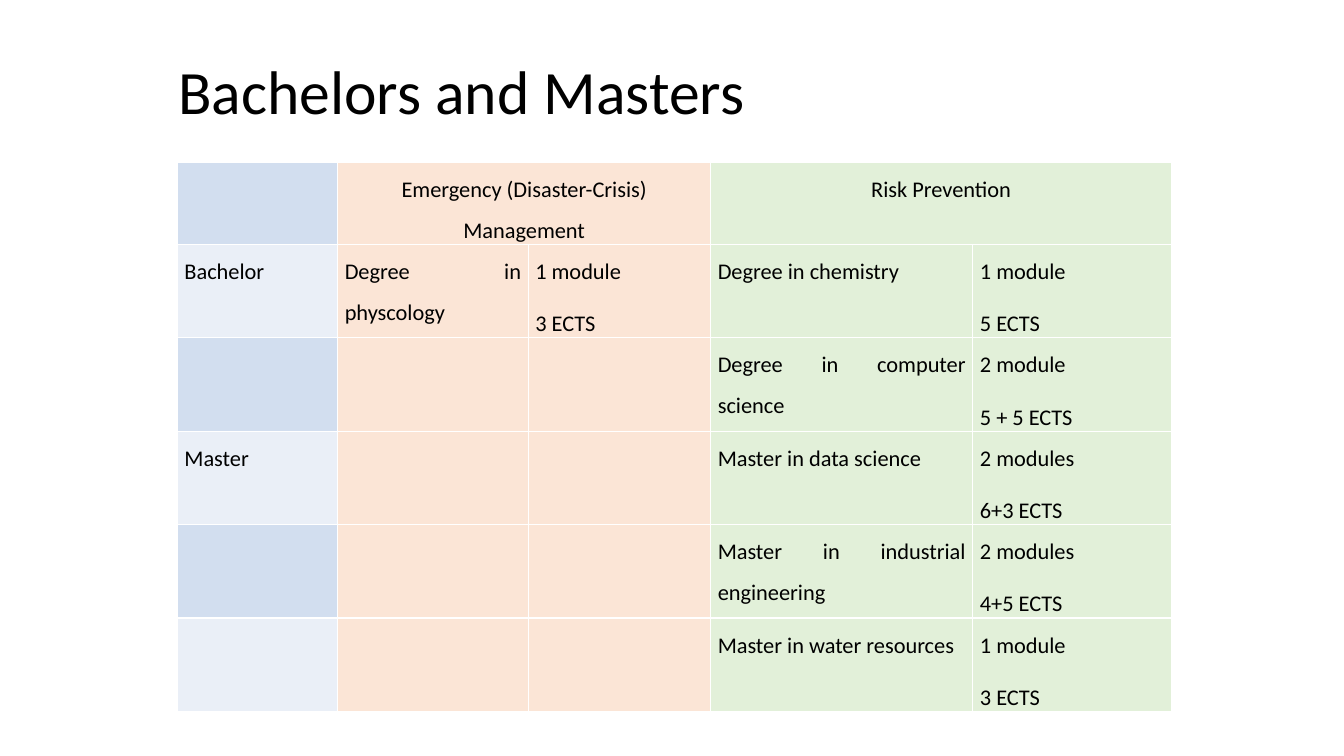
from pptx import Presentation
from pptx.dml.color import RGBColor
from pptx.enum.text import MSO_ANCHOR, PP_ALIGN
from pptx.oxml import parse_xml
from pptx.oxml.ns import nsdecls
from pptx.util import Inches, Pt

# Content
TITLE = "Bachelors and Masters"
HEADERS = {1: "Emergency (Disaster-Crisis) Management", 3: "Risk Prevention"}
# Level, emergency degree, its credits, risk degree, its credits
PROGRAMMES = [
    ("Bachelor", "Degree in physcology", "1 module\n3 ECTS",
     "Degree in chemistry", "1 module\n5 ECTS"),
    ("", "", "", "Degree in computer science", "2 module\n5 + 5 ECTS"),
    ("Master", "", "", "Master in data science", "2 modules\n6+3 ECTS"),
    ("", "", "", "Master in industrial engineering", "2 modules\n4+5 ECTS"),
    ("", "", "", "Master in water resources", "1 module\n3 ECTS"),
]

# Style
COLORS = {"text": "000000", "border": "FFFFFF", "level_dark": "D2DEEF",
          "level_light": "EAEFF7", "emergency": "FBE5D6", "risk": "E2F0D9"}
FONT = "Calibri"
COL_WIDTHS = [1.59, 1.89, 1.81, 2.6, 1.97]
ROW_HEIGHTS = [0.7, 0.7, 0.89, 0.7, 0.89, 0.89]


def add_run(p, text, size):
    r = p.add_run()
    r.text = text
    r.font.name, r.font.size = FONT, Pt(size)
    r.font.color.rgb = RGBColor.from_string(COLORS["text"])


def column_color(row, col):
    if col == 0:
        return COLORS["level_light" if row % 2 else "level_dark"]
    return COLORS["emergency" if col < 3 else "risk"]


def add_borders(cell):
    tcPr = cell._tc.get_or_add_tcPr()
    for side in ("lnL", "lnR", "lnT", "lnB"):
        tcPr.append(parse_xml(
            f'<a:{side} {nsdecls("a")} w="{Pt(1)}"><a:solidFill>'
            f'<a:srgbClr val="{COLORS["border"]}"/></a:solidFill></a:{side}>'))


def style_cell(cell, color):
    cell.margin_left = cell.margin_right = Inches(0.07)
    cell.margin_top = cell.margin_bottom = 0
    add_borders(cell)
    cell.fill.solid()
    cell.fill.fore_color.rgb = RGBColor.from_string(color)


def write_cell(cell, text, align):
    tf = cell.text_frame
    for i, line in enumerate(text.split("\n")):
        p = tf.add_paragraph() if i else tf.paragraphs[0]
        p.alignment, p.line_spacing, p.space_after = align, 1.5, Pt(8)
        add_run(p, line, 16)


prs = Presentation()
prs.slide_width, prs.slide_height = Inches(13.33), Inches(7.5)
s = prs.slides.add_slide(prs.slide_layouts[5])

# Title
title = s.shapes.title
title.left, title.top = Inches(1.67), Inches(0.21)
title.width, title.height = Inches(11.5), Inches(1.45)
tf = title.text_frame
tf.vertical_anchor = MSO_ANCHOR.MIDDLE
p = tf.paragraphs[0]
p.alignment, p.line_spacing = PP_ALIGN.LEFT, 0.9
add_run(p, TITLE, 44)

# Table grid
table = s.shapes.add_table(
    len(ROW_HEIGHTS), len(COL_WIDTHS), Inches(1.76), Inches(1.61),
    Inches(sum(COL_WIDTHS)), Inches(sum(ROW_HEIGHTS))).table
table.first_row = table.horz_banding = False
for column, width in zip(table.columns, COL_WIDTHS):
    column.width = Inches(width)
for row, height in zip(table.rows, ROW_HEIGHTS):
    row.height = Inches(height)
for r in range(len(ROW_HEIGHTS)):
    for c in range(len(COL_WIDTHS)):
        style_cell(table.cell(r, c), column_color(r, c))

# Header row, each heading over two columns
for c, text in HEADERS.items():
    table.cell(0, c).merge(table.cell(0, c + 1))
    write_cell(table.cell(0, c), text, PP_ALIGN.CENTER)

# Programme rows
for r, programme in enumerate(PROGRAMMES, start=1):
    for c, text in enumerate(programme):
        if text:
            write_cell(table.cell(r, c), text, PP_ALIGN.JUSTIFY)

prs.save("out.pptx")
